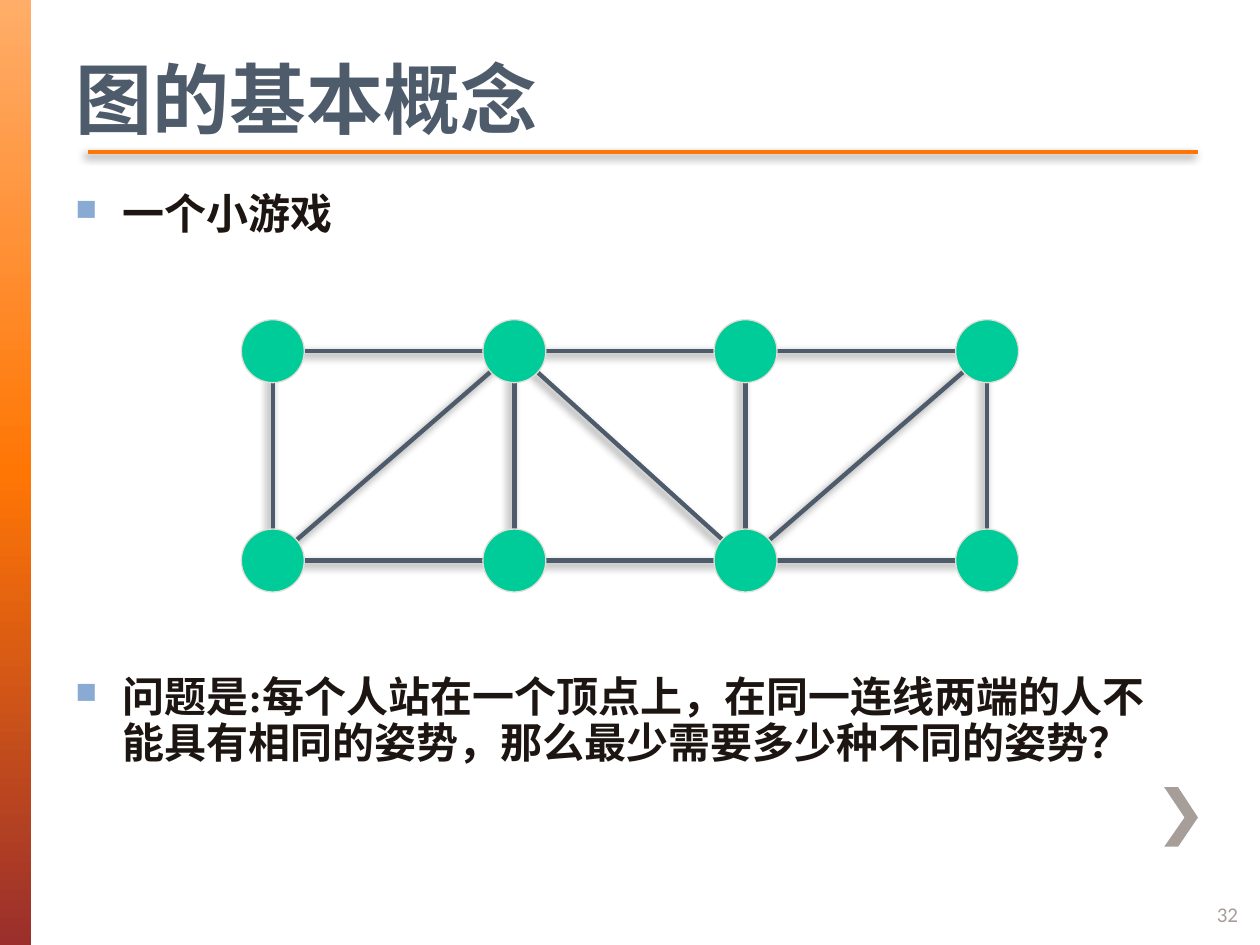
"""Build the slide that introduces graphs with a small game."""
from lxml.etree import SubElement
from pptx import Presentation
from pptx.dml.color import RGBColor
from pptx.enum.shapes import MSO_CONNECTOR as CONN, MSO_SHAPE as SHAPE
from pptx.enum.text import MSO_ANCHOR as ANCHOR
from pptx.oxml import parse_xml
from pptx.oxml.ns import nsdecls, qn
from pptx.util import Cm, Pt

ORANGE = RGBColor(0xFF, 0x76, 0x05)
SLATE = RGBColor(0x4D, 0x5B, 0x6B)
INK = RGBColor(0x1C, 0x15, 0x11)
GREY = RGBColor(0xA7, 0x9D, 0x99)
GREEN = RGBColor(0x00, 0xCC, 0x99)
PALE = RGBColor(0xE8, 0xDE, 0xD8)
BULLET = RGBColor(0x89, 0xAA, 0xD3)
BAR_STOPS = [(0, "FFAD69"), (50, "FF7605"), (100, "9A2F2C")]

TITLE = "图的基本概念"
BODY = [
    ("一个小游戏", 0),
    ("问题是:每个人站在一个顶点上，在同一连线两端的人不能具有相同的姿势，那么最少需要多少种不同的姿势？", 250),
]
PAGE = "32"

COLUMNS = [5.5, 10.37, 15.03, 19.9]
ROWS = [7.08, 11.3]
DIAMETER = 1.27
DIAGONALS = [((1, 0), (0, 1)), ((2, 1), (1, 0)), ((3, 0), (2, 1))]
CHEVRON = [(23.75, 15.87), (23.47, 15.87), (23.88, 16.48),
           (23.47, 17.07), (23.75, 17.07), (24.15, 16.48)]


def add_text(s, box, paragraphs, size, color, font, bold=False):
    tf = s.shapes.add_textbox(*map(Cm, box)).text_frame
    tf.word_wrap = True
    tf.text = "\n".join(paragraphs)
    for p in tf.paragraphs:
        f = p.runs[0].font
        f.name, f.size, f.bold, f.color.rgb = font, Pt(size), bold, color
    return tf


def add_bullet(p):
    pPr = p._p.get_or_add_pPr()
    pPr.set("marL", str(Cm(0.95)))
    pPr.set("indent", str(-Cm(0.95)))
    SubElement(SubElement(pPr, qn("a:buClr")), qn("a:srgbClr"), val=str(BULLET))
    SubElement(pPr, qn("a:buSzPct"), val="70000")
    SubElement(pPr, qn("a:buChar"), char="■")


def add_line(s, start, end, color):
    c = s.shapes.add_connector(CONN.STRAIGHT, *map(Cm, start + end))
    c.line.color.rgb, c.line.width = color, Pt(2.5)
    c._element.spPr.append(parse_xml(
        f'<a:effectLst {nsdecls("a")}><a:outerShdw blurRad="{Pt(5)}" dist="{Pt(3)}" '
        'dir="8100000" algn="tl" rotWithShape="0"><a:srgbClr val="000000">'
        '<a:alpha val="45000"/></a:srgbClr></a:outerShdw></a:effectLst>'))


def add_frame(s):
    bar = s.shapes.add_shape(SHAPE.RECTANGLE, 0, 0, Cm(0.63), Cm(19.05))
    stops = "".join(f'<a:gs pos="{pos * 1000}"><a:srgbClr val="{rgb}"/></a:gs>'
                    for pos, rgb in BAR_STOPS)
    bar._element.spPr.insert(2, parse_xml(
        f'<a:gradFill {nsdecls("a")}><a:gsLst>{stops}</a:gsLst>'
        '<a:lin ang="5400000" scaled="0"/></a:gradFill>'))
    points = [(Cm(x), Cm(y)) for x, y in CHEVRON]
    builder = s.shapes.build_freeform(*points[0])
    builder.add_line_segments(points[1:])
    chevron = builder.convert_to_shape()
    chevron.fill.solid()
    chevron.fill.fore_color.rgb = GREY
    for sp in (bar, chevron):
        sp.line.fill.background()
        sp.shadow.inherit = False
    add_line(s, (1.78, 3.07), (24.15, 3.07), ORANGE)


def add_graph(s):
    nodes = [(col, row) for row in range(len(ROWS)) for col in range(len(COLUMNS))]
    sides = [((c, r), (c + 1, r)) for c, r in nodes if c + 1 < len(COLUMNS)]
    rungs = [((c, 0), (c, 1)) for c in range(len(COLUMNS))]
    for edge in rungs + sides + DIAGONALS:
        start, end = [(COLUMNS[c], ROWS[r]) for c, r in edge]
        add_line(s, start, end, SLATE)
    for c, r in nodes:
        sp = s.shapes.add_shape(SHAPE.OVAL, Cm(COLUMNS[c] - DIAMETER / 2),
                                Cm(ROWS[r] - DIAMETER / 2), Cm(DIAMETER), Cm(DIAMETER))
        sp.fill.solid()
        sp.fill.fore_color.rgb = GREEN
        sp.line.color.rgb, sp.line.width = PALE, Pt(0.75)
        sp.shadow.inherit = False


def main():
    prs = Presentation()
    prs.slide_width, prs.slide_height = Cm(25.4), Cm(19.05)
    s = prs.slides.add_slide(prs.slide_layouts[6])
    add_frame(s)
    tf = add_text(s, (1.27, 3.78, 22.86, 7.16), [text for text, _ in BODY],
                  24, INK, "Times New Roman", True)
    for p, (_, gap) in zip(tf.paragraphs, BODY):
        add_bullet(p)
        p.line_spacing, p.space_before = 0.9, Pt(gap)
    add_graph(s)
    add_text(s, (1.27, 0.91, 22.86, 2.01), [TITLE], 44, SLATE, "Calibri", True)
    tf = add_text(s, (24.28, 17.91, 1.07, 1.02), [PAGE], 12, GREY, "Calibri")
    tf.vertical_anchor = ANCHOR.MIDDLE
    prs.save("out.pptx")


if __name__ == "__main__":
    main()
